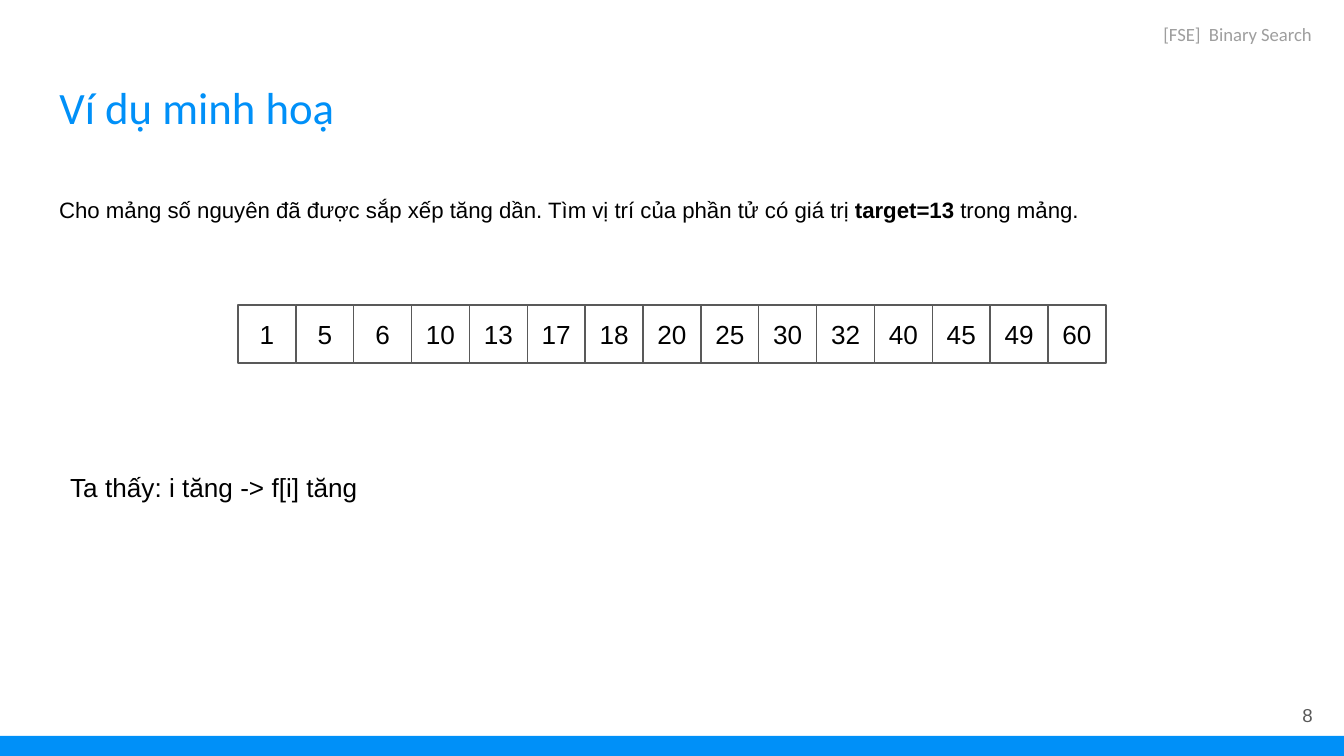
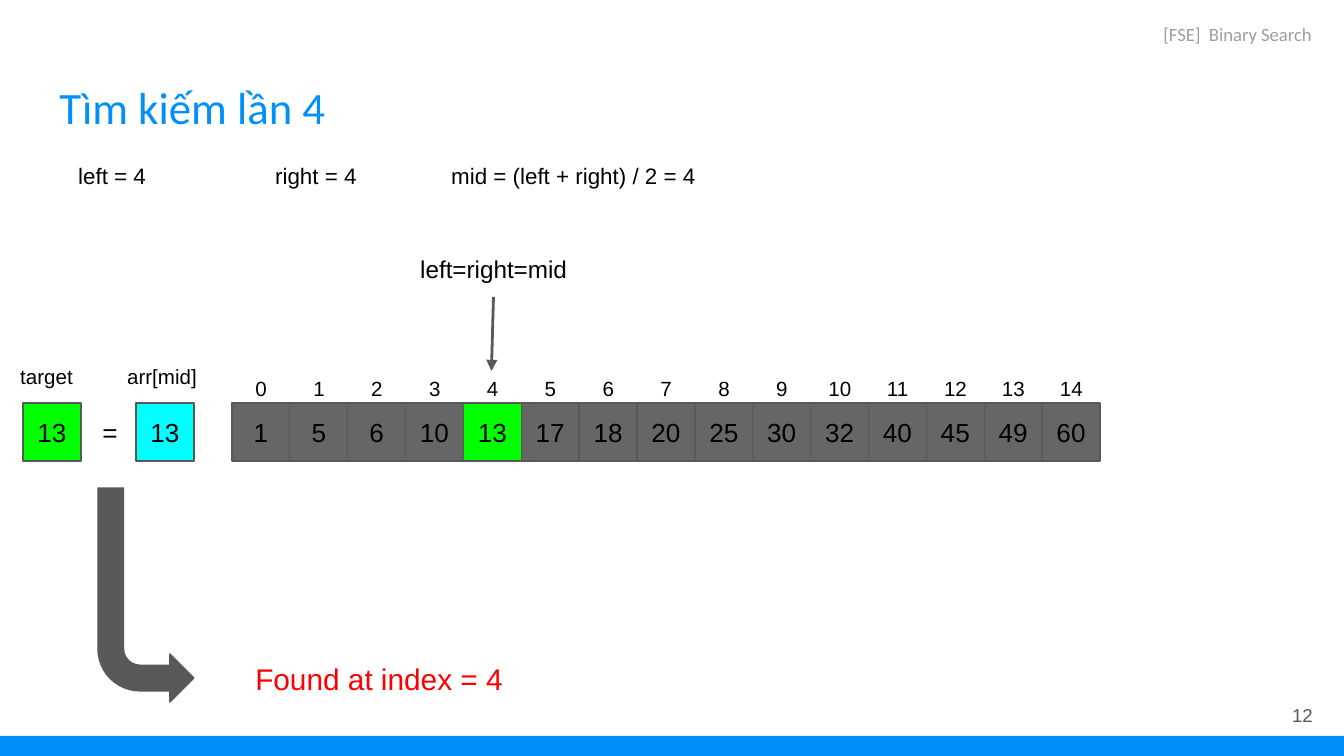
import dataclasses

import lxml.etree
import pptx
import pptx.dml.color
import pptx.enum.shapes
import pptx.enum.text
import pptx.oxml.ns
import pptx.util

SHAPE = pptx.enum.shapes.MSO_SHAPE
ANCHOR = pptx.enum.text.MSO_ANCHOR
ALIGN = pptx.enum.text.PP_ALIGN
FIT = pptx.enum.text.MSO_AUTO_SIZE
qn = pptx.oxml.ns.qn


@dataclasses.dataclass(frozen=True)
class Theme:
    blue: str = "0090F8"
    ink: str = "000000"
    paper: str = "FFFFFF"
    dark: str = "595959"
    gray: str = "666666"
    pale: str = "9E9E9E"
    green: str = "00FF00"
    cyan: str = "00FFFF"
    red: str = "FF0000"
    sans: str = "Arial"
    head: str = "Calibri"
    title: float = 24
    found: float = 16
    cell: float = 14
    mark: float = 13
    state: float = 12
    body: float = 11.9
    label: float = 11
    small: float = 10
    thin: float = 0.75
    thick: float = 1.5


T = Theme()
WIDE, HIGH = 1344, 756
PAD = 13
SIDE = 58
VALUES = [1, 5, 6, 10, 13, 17, 18, 20, 25, 30, 32, 40, 45, 49, 60]
HIT = 4


def px(n):
    return round(n * 914400 / 134.4)


def rgb(code):
    return pptx.dml.color.RGBColor.from_string(code)


def write(shape, runs, size, color=T.ink, font=T.sans, align=ALIGN.LEFT,
          anchor=ANCHOR.TOP, fit=FIT.NONE):
    """Fill a shape with one paragraph of (text, bold) runs, or one string."""
    frame = shape.text_frame
    frame.word_wrap = True
    frame.auto_size = fit
    frame.vertical_anchor = anchor
    frame.margin_left = frame.margin_right = pptx.util.Inches(0.1)
    frame.margin_top = frame.margin_bottom = pptx.util.Inches(0.1)
    para = frame.paragraphs[0]
    para.alignment = align
    for words, bold in [(runs, False)] if isinstance(runs, str) else runs:
        run = para.add_run()
        run.text = words
        run.font.name = font
        run.font.size = pptx.util.Pt(size)
        run.font.bold = bold
        run.font.color.rgb = rgb(color)
    return para


def note(shapes, box, runs, size, **style):
    """Add a text box and return it."""
    shape = shapes.add_textbox(*map(px, box))
    write(shape, runs, size, **style)
    return shape


def block(shapes, kind, box, fill, line=None):
    shape = shapes.add_shape(kind, *map(px, box))
    shape.shadow.inherit = False
    shape.fill.solid()
    shape.fill.fore_color.rgb = rgb(fill)
    if line:
        shape.line.color.rgb = rgb(line)
        shape.line.width = pptx.util.Pt(T.thin)
    else:
        shape.line.fill.background()
    return shape


def cell(shapes, box, value, fill):
    shape = block(shapes, SHAPE.RECTANGLE, box, fill, T.dark)
    write(shape, str(value), T.cell, align=ALIGN.CENTER, anchor=ANCHOR.MIDDLE)


def row(slide, box, fills):
    """Draw the number array as a group of equal cells."""
    x, y, w, h = box
    step = w / len(VALUES)
    group = slide.shapes.add_group_shape()
    for i, (value, fill) in enumerate(zip(VALUES, fills)):
        cell(group.shapes, (x + i * step, y, step, h), value, fill)


def ruler(slide, box):
    """Write the indexes, each on a centred tab stop over its cell."""
    step = box[2] / len(VALUES)
    words = "".join(f"\t{i}" for i in range(len(VALUES)))
    shape = note(slide.shapes, box, words, T.label, fit=FIT.SHAPE_TO_FIT_TEXT)
    props = shape.text_frame.paragraphs[0]._p.get_or_add_pPr()
    tabs = lxml.etree.SubElement(props, qn("a:tabLst"))
    for i in range(len(VALUES)):
        stop = px((i + 0.5) * step - PAD)
        lxml.etree.SubElement(tabs, qn("a:tab"), pos=str(stop), algn="ctr")


def frame(deck, title, page):
    """Add a slide with its title, header, page number and bottom band."""
    slide = deck.slides.add_slide(deck.slide_layouts[5])
    head = slide.shapes.title
    head.left, head.top, head.width, head.height = map(px, (46, 66, 1252, 84))
    write(head, title, T.title, color=T.blue, font=T.head)
    block(slide.shapes, SHAPE.RECTANGLE, (0, HIGH - 20, WIDE, 20), T.blue)
    note(slide.shapes, (1246, 686, 80, 58), str(page), T.small, color=T.dark,
         align=ALIGN.RIGHT, anchor=ANCHOR.MIDDLE)
    note(slide.shapes, (1059, 9, 266, 96), "[FSE]  Binary Search", T.small,
         color=T.pale, font=T.head, align=ALIGN.RIGHT)
    return slide


def state(slide, box):
    """Write the search bounds on one line."""
    x, y, w, h = box
    for dx, wide, words in ((0, 158, "left = 4"), (197, 158, "right = 4"),
                            (373, w - 373, "mid = (left + right) / 2 = 4")):
        note(slide.shapes, (x + dx, y, wide, h), words, T.state,
             fit=FIT.SHAPE_TO_FIT_TEXT)


def pointer(slide, box):
    """Draw a label with an arrow from it to the bottom of the box."""
    x, y, w, h = box
    group = slide.shapes.add_group_shape()
    label = note(group.shapes, (x, y, w, 56), "left=right=mid", T.mark,
                 align=ALIGN.CENTER, fit=FIT.SHAPE_TO_FIT_TEXT)
    mid = x + w / 2
    arrow = group.shapes.add_connector(
        pptx.enum.shapes.MSO_CONNECTOR.STRAIGHT,
        px(mid), px(y + 56), px(mid - 2), px(y + h))
    arrow.begin_connect(label, 2)
    arrow.line.color.rgb = rgb(T.dark)
    arrow.line.width = pptx.util.Pt(T.thick)
    lxml.etree.SubElement(arrow.line._get_or_add_ln(), qn("a:tailEnd"),
                          type="triangle")
    lxml.etree.SubElement(arrow._element.spPr, qn("a:effectLst"))


def compare(slide, box):
    """Set the target beside the middle value, each under its label."""
    x, y, w, h = box
    low = y + h - SIDE
    shapes = slide.shapes.add_group_shape().shapes
    cell(shapes, (x + 16, low, SIDE, SIDE), VALUES[HIT], T.green)
    cell(shapes, (x + 129, low, SIDE, SIDE), VALUES[HIT], T.cyan)
    note(shapes, (x + 74, low, SIDE, SIDE), "=", T.cell, align=ALIGN.CENTER,
         fit=FIT.SHAPE_TO_FIT_TEXT)
    for dx, wide, words in ((0, 81, "target"), (w - 102, 102, "arr[mid]")):
        note(shapes, (x + dx, y, wide, 52), words, T.label,
             fit=FIT.SHAPE_TO_FIT_TEXT)


def result(slide, box):
    """Lead a bent arrow down to the answer."""
    x, y, w, h = box
    bend = block(slide.shapes, SHAPE.BENT_ARROW, (x, y, 96, h), T.dark, T.dark)
    for i, value in enumerate((0.267, 0.25, 0.25, 0.438)):
        bend.adjustments[i] = value
    bend.rotation = 180
    bend._element.spPr.find(qn("a:xfrm")).set("flipH", "1")
    note(slide.shapes, (x + 144, y + h - 55, w - 144, 63),
         "Found at index = 4", T.found, color=T.red,
         fit=FIT.SHAPE_TO_FIT_TEXT)


def example(deck):
    slide = frame(deck, "Ví dụ minh hoạ", 8)
    task = note(slide.shapes, (46, 185, 1230, 101), [
        ("Cho mảng số nguyên đã được sắp xếp tăng dần. "
         "Tìm vị trí của phần tử có giá trị ", False),
        ("target=13", True),
        (" trong mảng.", False)], T.body)
    task.text_frame.paragraphs[0].line_spacing = 0.95
    row(slide, (238, 305, 868, SIDE), [T.paper] * len(VALUES))
    fact = note(slide.shapes, (57, 453, 1230, 101),
                "Ta thấy: i tăng -> f[i] tăng", T.cell)
    para = fact.text_frame.paragraphs[0]
    para.line_spacing = 1.15
    para.space_after = pptx.util.Pt(12)


def search(deck):
    slide = frame(deck, "Tìm kiếm lần 4", 12)
    fills = [T.green if i == HIT else T.gray for i in range(len(VALUES))]
    row(slide, (232, 403, 868, SIDE), fills)
    ruler(slide, (232, 364, 868, 52))
    state(slide, (65, 149, 698, 54))
    pointer(slide, (366, 241, 255, 130))
    compare(slide, (7, 352, 209, 109))
    result(slide, (98, 488, 555, 214))


def main():
    deck = pptx.Presentation()
    deck.slide_width, deck.slide_height = px(WIDE), px(HIGH)
    example(deck)
    search(deck)
    deck.save("out.pptx")


if __name__ == "__main__":
    main()
